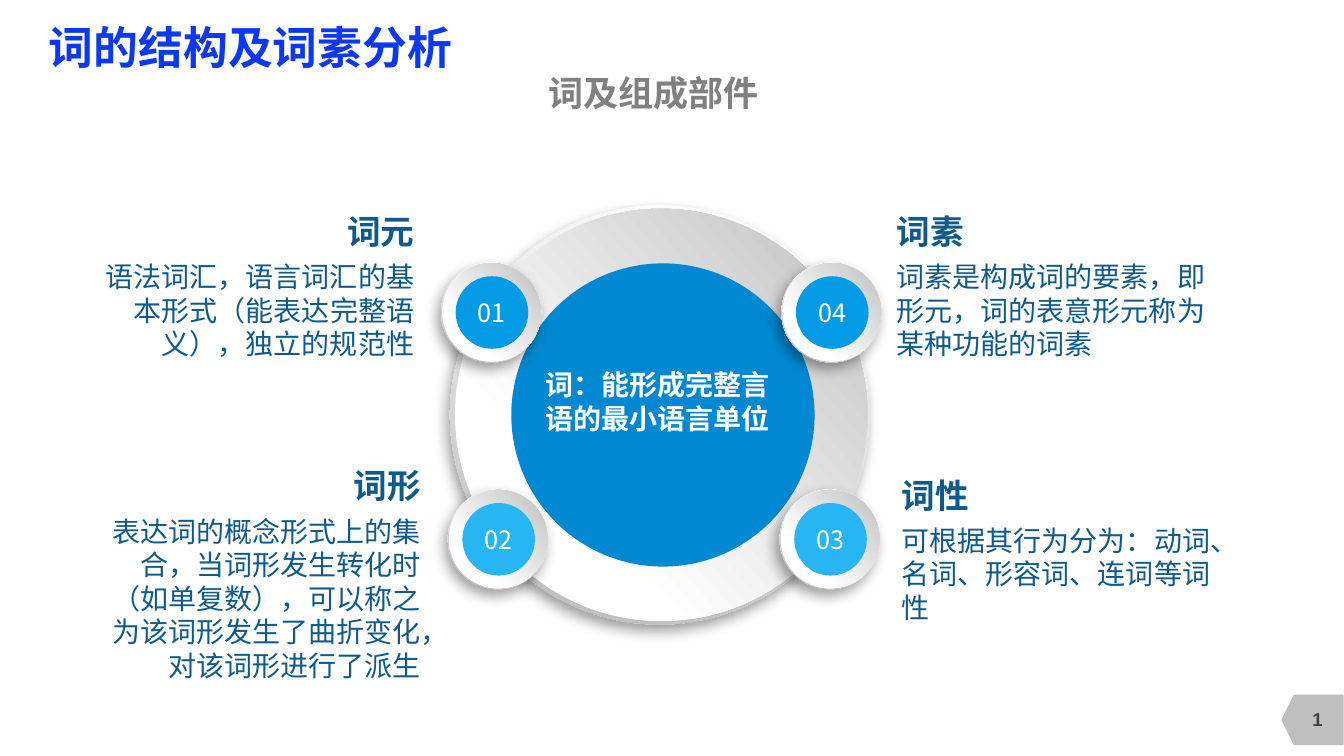
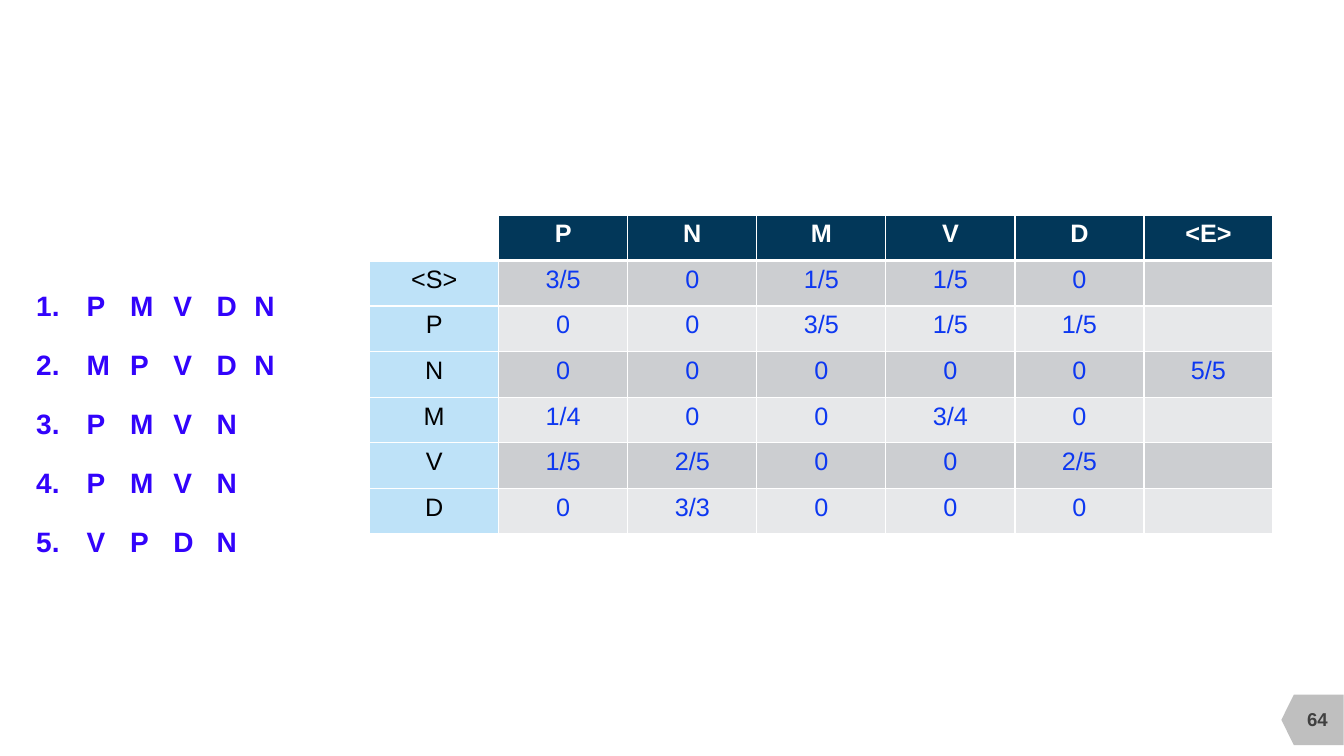
import pptx
import pptx.util
import pptx.dml.color
import pptx.enum.shapes
import pptx.enum.text
import pptx.oxml
import lxml.etree

Pt = pptx.util.Pt
Kind = pptx.enum.shapes.MSO_SHAPE
Side = pptx.enum.text.PP_ALIGN
Hold = pptx.enum.text.MSO_ANCHOR
NS = 'xmlns:a="http://schemas.openxmlformats.org/drawingml/2006/main"'

deck = pptx.Presentation()
deck.slide_width = pptx.util.Inches(13.33)
deck.slide_height = pptx.util.Inches(7.5)
UNIT = deck.slide_height / 90  # square grid: 160 columns by 90 rows

# Shared text formats
BASE = {"name": "Arial", "bold": True}
TITLE = {**BASE, "size": Pt(32), "color": "0D38F1"}
SUB = {**BASE, "size": Pt(25), "color": "808080"}
PAGE = {**BASE, "size": Pt(13.3), "color": "404040"}
HEAD = {**BASE, "size": Pt(24), "color": "0E5A8B"}
BODY = {**HEAD, "size": Pt(20), "bold": False}
CORE = {"name": "Noto Sans CJK SC", "size": Pt(20), "bold": True, "color": "FFFFFF"}
BADGE = {**CORE, "size": Pt(18), "bold": False}
LIST = {**BASE, "size": Pt(20), "color": "3203FB"}
TOP = {**BASE, "size": Pt(18), "color": "FFFFFF"}
CELL = {**TOP, "bold": False, "color": "0D38F1"}
LABEL = {**CELL, "color": "000000"}


def paint(part, code):
    """Colour a font or a solid fill from a hex string."""
    if hasattr(part, "solid"):
        part.solid()
        part = part.fore_color
    else:
        part = part.color
    part.rgb = pptx.dml.color.RGBColor.from_string(code)


def write(frame, lines, align=Side.LEFT, hold=Hold.TOP, gap=6):
    """Fill a text frame with (text, format) lines."""
    frame.word_wrap = True
    frame.vertical_anchor = hold
    frame.margin_left = frame.margin_right = 0
    frame.margin_top = frame.margin_bottom = 0
    for i, (words, form) in enumerate(lines):
        para = frame.add_paragraph() if i else frame.paragraphs[0]
        para.alignment = align
        if i:
            para.space_before = Pt(gap)
        run = para.add_run()
        run.text = words
        for key, value in form.items():
            if key == "color":
                paint(run.font, value)
            else:
                setattr(run.font, key, value)


# Both slides, with the page tag
pages = []
for number in ("1", "64"):
    page = deck.slides.add_slide(deck.slide_layouts[6])
    tag = page.shapes.add_shape(Kind.FLOWCHART_OFFPAGE_CONNECTOR,
                                *[int(n * UNIT) for n in (153.2, 82, 6, 7.4)])
    tag.rotation = 90
    tag.shadow.inherit = False
    tag.line.fill.background()
    paint(tag.fill, "BFBFBF")
    box = page.shapes.add_textbox(*[int(n * UNIT) for n in (152.8, 83.2, 8, 4.8)])
    write(box.text_frame, [(number, PAGE)], Side.CENTER, Hold.MIDDLE)
    pages.append(page)
first, second = pages

# Slide 1: discs, each a shaded rim, a shaded face and a plain core
discs = [
    (78.7, 49.4, 49.9, 49.1, 36.1, "0089D2", ""),
    (99, 37.2, 11.9, 11.75, 8.64, "039BE6", "04"),
    (98.8, 64.2, 11.9, 11.75, 8.64, "28B5F4", "03"),
    (58.5, 37.2, 11.9, 11.75, 8.64, "039BE6", "01"),
    (59.3, 64.2, 11.9, 11.75, 8.64, "28B5F4", "02"),
]
SHADE = f"""<a:effectLst {NS}><a:outerShdw blurRad="127000" dist="63500"
 dir="7380000" algn="ctr" rotWithShape="0"><a:srgbClr val="000000">
 <a:alpha val="39000"/></a:srgbClr></a:outerShdw></a:effectLst>"""
for x, y, rim, face, core, tint, mark in discs:
    layers = [
        (rim, -1, 62.3, ((0.17, "FFFFFF"), (0.88, "B8B8B8"))),
        (face, 0, 273, ((0.29, "FFFFFF"), (0.98, "BFBFBF"))),
        (core, 1, 0, None),
    ]
    for size, step, turn, stops in layers:
        left = x + step * rim * 0.004 - size / 2
        oval = first.shapes.add_shape(
            Kind.OVAL, *[int(n * UNIT) for n in (left, y - size / 2, size, size)])
        oval.rotation = turn
        oval.line.fill.background()
        if stops:
            oval.fill.gradient()
            oval.fill.gradient_angle = 315
            for stop, (place, code) in zip(oval.fill.gradient_stops, stops):
                stop.position = place
                paint(stop, code)
        else:
            paint(oval.fill, tint)
        if size == rim:
            oval._element.spPr.append(pptx.oxml.parse_xml(SHADE))
        else:
            oval.shadow.inherit = False
    if mark:
        write(oval.text_frame, [(mark, BADGE)], Side.CENTER, Hold.MIDDLE)

# Slide 1: title, core text and the four notes
L, R, C = Side.LEFT, Side.RIGHT, Side.CENTER
texts = [
    ((5.8, 2.4, 78.5, 6.2), L, Hold.MIDDLE, [("词的结构及词素分析", TITLE)]),
    ((41.8, 8.5, 72, 5.4), C, Hold.TOP, [("词及组成部件", SUB)]),
    ((64.9, 43.8, 27.4, 8), L, Hold.TOP, [("词：能形成完整言语的最小语言单位", CORE)]),
    ((106.7, 25.1, 38.5, 18), L, Hold.TOP, [
        ("词素", HEAD),
        ("词素是构成词的要素，即 形元，词的表意形元称为某种功能的词素", BODY)]),
    ((107.3, 56.5, 38.5, 18), L, Hold.TOP, [
        ("词性", HEAD),
        ("可根据其行为分为：动词、名词、形容词、连词等词性", BODY)]),
    ((9.6, 25.1, 39.7, 18), R, Hold.TOP, [
        ("词元", HEAD),
        ("语法词汇，语言词汇的基本形式（能表达完整语义），独立的规范性", BODY)]),
    ((11.6, 55.4, 38.5, 26), R, Hold.TOP, [
        ("词形", HEAD),
        ("表达词的概念形式上的集合，当词形发生转化时（如单复数），"
         "可以称之为该词形发生了曲折变化，对该词形进行了派生", BODY)]),
]
for rect, align, hold, lines in texts:
    box = first.shapes.add_textbox(*[int(n * UNIT) for n in rect])
    write(box.text_frame, lines, align, hold)

# Slide 2: table of transitions
rows = [
    ["", "P", "N", "M", "V", "D", "<E>"],
    ["<S>", "3/5", "0", "1/5", "1/5", "0", ""],
    ["P", "0", "0", "3/5", "1/5", "1/5", ""],
    ["N", "0", "0", "0", "0", "0", "5/5"],
    ["M", "1/4", "0", "0", "3/4", "0", ""],
    ["V", "1/5", "2/5", "0", "0", "2/5", ""],
    ["D", "0", "3/3", "0", "0", "0", ""],
]
count = len(rows)
wide, high = 15.36, 5.42
grid = second.shapes.add_table(count, count, *[
    int(n * UNIT) for n in (44, 25.6, wide * count, high * count)]).table
for r, row in enumerate(rows):
    for c, words in enumerate(row):
        cell = grid.cell(r, c)
        props = cell._tc.get_or_add_tcPr()
        for edge in ("lnL", "lnR", "lnT", "lnB"):
            heavy = (r == 0 and edge == "lnB") or (r == 1 and edge == "lnT")
            props.append(pptx.oxml.parse_xml(
                f'<a:{edge} {NS} w="{Pt(3 if heavy else 1)}"><a:solidFill>'
                f'<a:srgbClr val="FFFFFF"/></a:solidFill></a:{edge}>'))
        if r == c == 0:
            cell.fill.background()
        elif r == 0:
            paint(cell.fill, "023759")
        elif c == 0:
            paint(cell.fill, "BEE2F8")
        else:
            paint(cell.fill, "CCCED1" if r % 2 else "E7E8EA")
        if words:
            form = TOP if r == 0 else LABEL if c == 0 else CELL
            write(cell.text_frame, [(words, form)], Side.CENTER)
            cell.margin_top = cell.margin_bottom = Pt(3.6)

# Slide 2: numbered tag sequences, letters set on even tab stops
TAB = 5.16
chains = ["PMVDN", "MPVDN", "PMVN", "PMVN", "VPDN"]
box = second.shapes.add_textbox(*[int(n * UNIT) for n in (0, 31.9, 40.6, 41.6)])
write(box.text_frame, [("\t".join(chain), LIST) for chain in chains])
for para in box.text_frame.paragraphs:
    props = para._p.get_or_add_pPr()
    props.set("marL", str(int(2 * TAB * UNIT)))
    props.set("indent", str(int(-6 * UNIT)))
    stops = "".join(f'<a:tab pos="{int(n * TAB * UNIT)}" algn="l"/>' for n in range(1, 8))
    for item in ('<a:buFont {} typeface="+mj-lt"/>', '<a:buAutoNum {} type="arabicPeriod"/>',
                 "<a:tabLst {}>" + stops + "</a:tabLst>"):
        props.append(pptx.oxml.parse_xml(item.format(NS)))
    para.line_spacing = 1.5
box.text_frame.margin_top = Pt(3)

deck.save("out.pptx")
